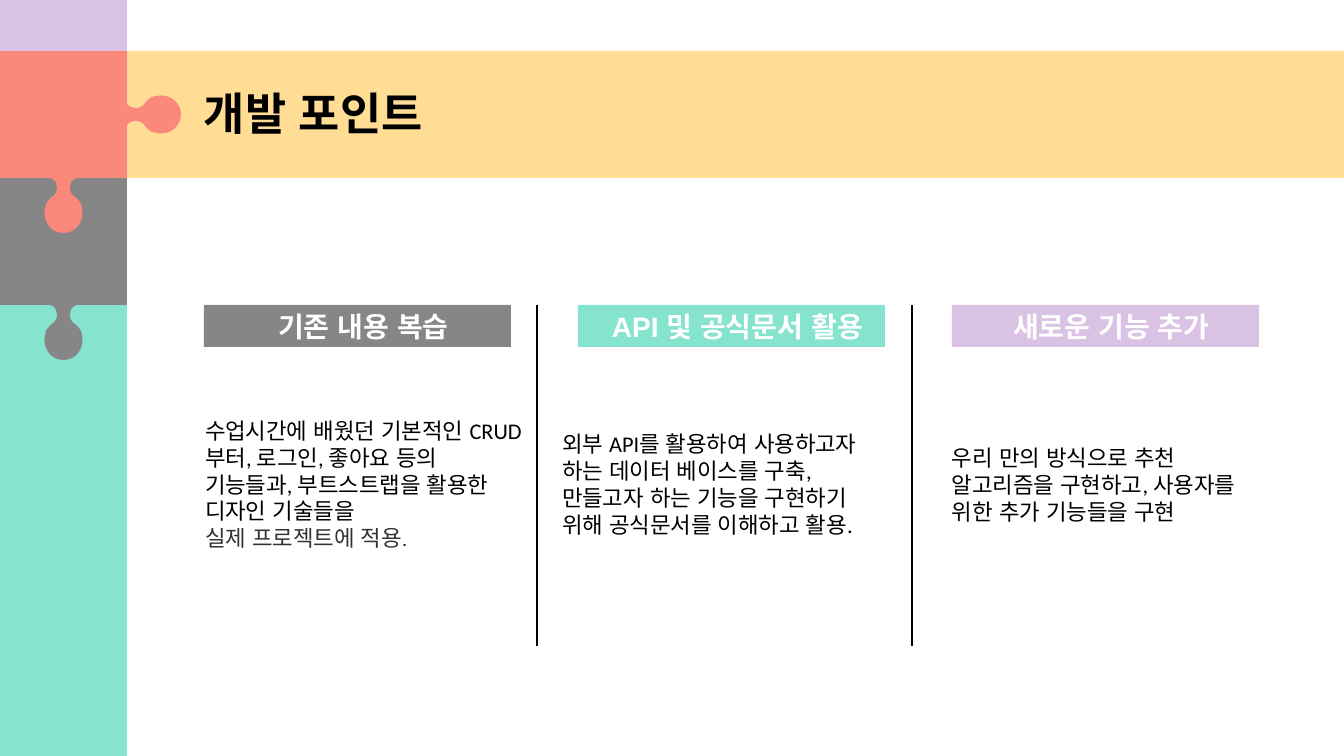
from lxml import etree
from pptx import Presentation
from pptx import util as u
from pptx.dml.color import RGBColor
from pptx.enum import shapes, text
from pptx.oxml.ns import qn

# Content
TITLE = "개발 포인트"
COLUMNS = [  # heading, colour, body left, width, height, paragraphs with opacity
    ("기존 내용 복습", "grey", 205, 318, 136, [
        ("수업시간에 배웠던 기본적인 CRUD부터, 로그인, 좋아요 등의 기능들과, "
         "부트스트랩을 활용한 디자인 기술들을", 100),
        ("실제 프로젝트에 적용.", 80)]),
    ("API 및 공식문서 활용", "mint", 562, 331, 109, [
        ("외부 API를 활용하여 사용하고자 하는 데이터 베이스를 구축, "
         "만들고자 하는 기능을 구현하기 위해 공식문서를 이해하고 활용.", 100)]),
    ("새로운 기능 추가", "lilac", 952, 317, 82, [
        ("우리 만의 방식으로 추천 알고리즘을 구현하고, "
         "사용자를 위한 추가 기능들을 구현", 100)]),
]

# Theme
THEME = {
    "colour": {"mint": "86E3CE", "grey": "868686", "sand": "FFDD95",
               "coral": "FA897B", "lilac": "D9C2E4", "black": "000000",
               "white": "FFFFFF"},
    "title": {"name": "Arial", "size": u.Pt(32), "bold": True},
    "heading": {"name": "Arial", "size": u.Pt(20), "bold": True},
    "body": {"name": "Calibri", "size": u.Pt(16)},
    "east_asian": "Arial",
}

# Layout in px
PX = 914400 / 100.8
W, H = 1344, 756
TILE, BAND_TOP = 127, 51
BAND_END = BAND_TOP + TILE
GREY_END = BAND_END + TILE
COL_LEFT, COL_STEP, COL_W, HEAD_H = 204, 374, 307, 42
DIVIDER_LEFT, DIVIDER_STEP, DIVIDER_H = 537, 375, 341
BODY_MID = 485

# Control points of half a puzzle knob: distance from the edge, from the axis
KNOB_HALF = [
    (0, 13),
    (0, 13), (2, 7), (7, 7),
    (11, 6), (13, 6), (17, 9),
    (21, 14), (23, 16), (25, 17),
    (27, 18), (32, 19), (35, 19),
    (46, 19), (55, 11), (55, 0),
]
KNOB = KNOB_HALF + [(a, -b) for a, b in reversed(KNOB_HALF[:-1])]


def px(n):
    return u.Emu(round(n * PX))


def rgb(name):
    return RGBColor.from_string(THEME["colour"][name])


def set_all(obj, values):
    for key, value in values.items():
        setattr(obj, key, value)


def paint(sp, colour):
    sp.shadow.inherit = False
    sp.fill.solid()
    sp.fill.fore_color.rgb = rgb(colour)
    sp.line.fill.background()
    return sp


def add_rect(s, colour, *box):
    kind = shapes.MSO_SHAPE.RECTANGLE
    return paint(s.shapes.add_shape(kind, *map(px, box)), colour)


def add_knob(s, colour, x, y, down=False):
    points = [(px(x + (b if down else a)), px(y + (a if down else b)))
              for a, b in KNOB]
    builder = s.shapes.build_freeform(*points[0], scale=1.0)
    builder.add_line_segments(points[1:], close=True)
    sp = paint(builder.convert_to_shape(), colour)
    # Every three segments become one Bézier curve
    lines = list(sp._element.iter(qn("a:lnTo")))
    for i in range(0, len(KNOB) - 1, 3):
        curve = etree.Element(qn("a:cubicBezTo"))
        lines[i].addprevious(curve)
        for line in lines[i:i + 3]:
            curve.append(line[0])
            line.getparent().remove(line)


def write(sp, paragraphs, style, colour, align=text.PP_ALIGN.LEFT,
          anchor=text.MSO_ANCHOR.TOP, insets=(0, 0, 0, 0)):
    tf = sp.text_frame
    left, top, right, bottom = map(px, insets)
    set_all(tf, {"word_wrap": True, "vertical_anchor": anchor,
                 "auto_size": text.MSO_AUTO_SIZE.SHAPE_TO_FIT_TEXT,
                 "margin_left": left, "margin_top": top,
                 "margin_right": right, "margin_bottom": bottom})
    for i, (words, opacity) in enumerate(paragraphs):
        p = tf.paragraphs[0] if i == 0 else tf.add_paragraph()
        p.alignment = align
        r = p.add_run()
        r.text = words
        set_all(r.font, THEME[style])
        r.font.color.rgb = rgb(colour)
        latin = r._r.rPr.find(qn("a:latin"))
        latin.addnext(etree.Element(qn("a:ea"), typeface=THEME["east_asian"]))
        if opacity < 100:
            clr = r._r.rPr.find(".//" + qn("a:srgbClr"))
            etree.SubElement(clr, qn("a:alpha"), val=str(opacity * 1000))


def add_divider(s, x):
    line = s.shapes.add_connector(shapes.MSO_CONNECTOR.STRAIGHT, px(x), px(GREY_END),
                                  px(x), px(GREY_END + DIVIDER_H))
    line.line.color.rgb = rgb("black")
    line.line.width = u.Pt(1)
    etree.SubElement(line._element.spPr, qn("a:effectLst"))


def main():
    prs = Presentation()
    set_all(prs, {"slide_width": px(W), "slide_height": px(H)})
    s = prs.slides.add_slide(prs.slide_layouts[6])

    # Puzzle sidebar and title band
    add_rect(s, "mint", 0, GREY_END, TILE, H - GREY_END)
    add_rect(s, "grey", 0, BAND_END, TILE, TILE)
    add_knob(s, "grey", TILE / 2, GREY_END, down=True)
    add_rect(s, "sand", TILE, BAND_TOP, W - TILE, TILE)
    add_knob(s, "coral", TILE - 1, BAND_TOP + TILE / 2)
    add_rect(s, "coral", 0, BAND_TOP, TILE, TILE)
    add_knob(s, "coral", TILE / 2, BAND_END, down=True)
    add_rect(s, "lilac", 0, 0, TILE, BAND_TOP)

    # Title
    title = s.shapes.add_textbox(*map(px, (COL_LEFT, 86, W - COL_LEFT, 54)))
    write(title, [(TITLE, 100)], "title", "black", anchor=text.MSO_ANCHOR.MIDDLE)

    # Columns
    for i, (heading, colour, left, width, height, body) in enumerate(COLUMNS):
        head = add_rect(s, colour, COL_LEFT + i * COL_STEP, GREY_END, COL_W, HEAD_H)
        write(head, [(heading, 100)], "heading", "white",
              align=text.PP_ALIGN.CENTER, insets=(12, 4, 0, 4))
        box = s.shapes.add_textbox(*map(px, (left, BODY_MID - height / 2, width, height)))
        write(box, body, "body", "black")

    # Dividers between columns
    for i in range(len(COLUMNS) - 1):
        add_divider(s, DIVIDER_LEFT + i * DIVIDER_STEP)

    prs.save("out.pptx")


if __name__ == "__main__":
    main()
